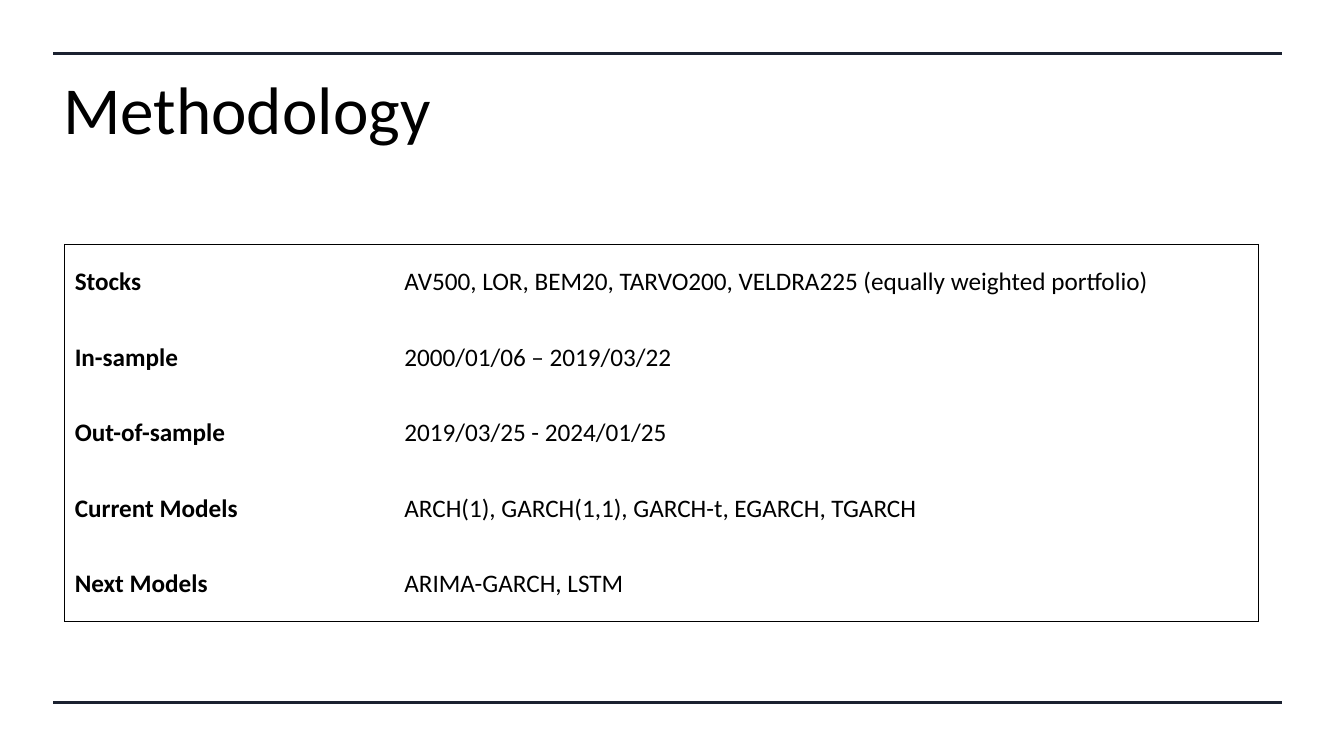
from lxml import etree
from pptx import Presentation
from pptx import util as u
from pptx.dml import color
from pptx.enum import shapes, text
from pptx.oxml import ns

COLORS = {"rule": "1B2130", "ink": "000000"}
FONT = "Calibri"


def style_font(font, size, bold=False):
    font.name = FONT
    font.size = u.Pt(size)
    font.bold = bold
    font.color.rgb = color.RGBColor.from_string(COLORS["ink"])


def add_border(cell, side, visible):
    properties = cell._tc.get_or_add_tcPr()
    line = etree.SubElement(properties, ns.qn(f"a:ln{side}"), w=str(u.Pt(1)))
    if visible:
        fill = etree.SubElement(line, ns.qn("a:solidFill"))
        etree.SubElement(fill, ns.qn("a:srgbClr"), val=COLORS["ink"])
    else:
        etree.SubElement(line, ns.qn("a:noFill"))


presentation = Presentation()
presentation.slide_width = u.Pt(960)
presentation.slide_height = u.Pt(540)
slide = presentation.slides.add_slide(presentation.slide_layouts[6])

for y in (38.5, 501.5):
    rule = slide.shapes.add_connector(
        shapes.MSO_CONNECTOR.STRAIGHT, u.Pt(38), u.Pt(y), u.Pt(916), u.Pt(y))
    rule.line.color.rgb = color.RGBColor.from_string(COLORS["rule"])
    rule.line.width = u.Pt(2.25)
    etree.SubElement(rule._element.spPr, ns.qn("a:effectLst"))

title = slide.shapes.add_textbox(u.Pt(38.2), u.Pt(37), u.Pt(837.4), u.Pt(80))
title.text_frame.word_wrap = True
title.text_frame.vertical_anchor = text.MSO_ANCHOR.MIDDLE
paragraph = title.text_frame.paragraphs[0]
paragraph.text = "Methodology"
style_font(paragraph.font, 48)

methodology = [
    ("Stocks", "AV500, LOR, BEM20, TARVO200, VELDRA225 (equally weighted portfolio)"),
    ("In-sample", "2000/01/06 – 2019/03/22"),
    ("Out-of-sample", "2019/03/25 - 2024/01/25"),
    ("Current Models", "ARCH(1), GARCH(1,1), GARCH-t, EGARCH, TGARCH"),
    ("Next Models", "ARIMA-GARCH, LSTM"),
]
column_widths = (235.4, 617.6)
row_height = 53.9
last_row = len(methodology) - 1

table = slide.shapes.add_table(
    len(methodology), 2, u.Pt(46.2), u.Pt(174.6),
    u.Pt(sum(column_widths)), u.Pt(row_height * len(methodology))).table
table.first_row = False
table.horz_banding = False
for column, width in zip(table.columns, column_widths):
    column.width = u.Pt(width)

for row_index, entries in enumerate(methodology):
    table.rows[row_index].height = u.Pt(row_height)
    for column_index, entry in enumerate(entries):
        cell = table.cell(row_index, column_index)
        cell.vertical_anchor = text.MSO_ANCHOR.MIDDLE
        paragraph = cell.text_frame.paragraphs[0]
        paragraph.text = entry
        style_font(paragraph.font, 18, bold=column_index == 0)
        outer_sides = {
            "L": column_index == 0,
            "R": column_index == 1,
            "T": row_index == 0,
            "B": row_index == last_row,
        }
        for side, visible in outer_sides.items():
            add_border(cell, side, visible)
        cell.fill.background()

presentation.save("out.pptx")
